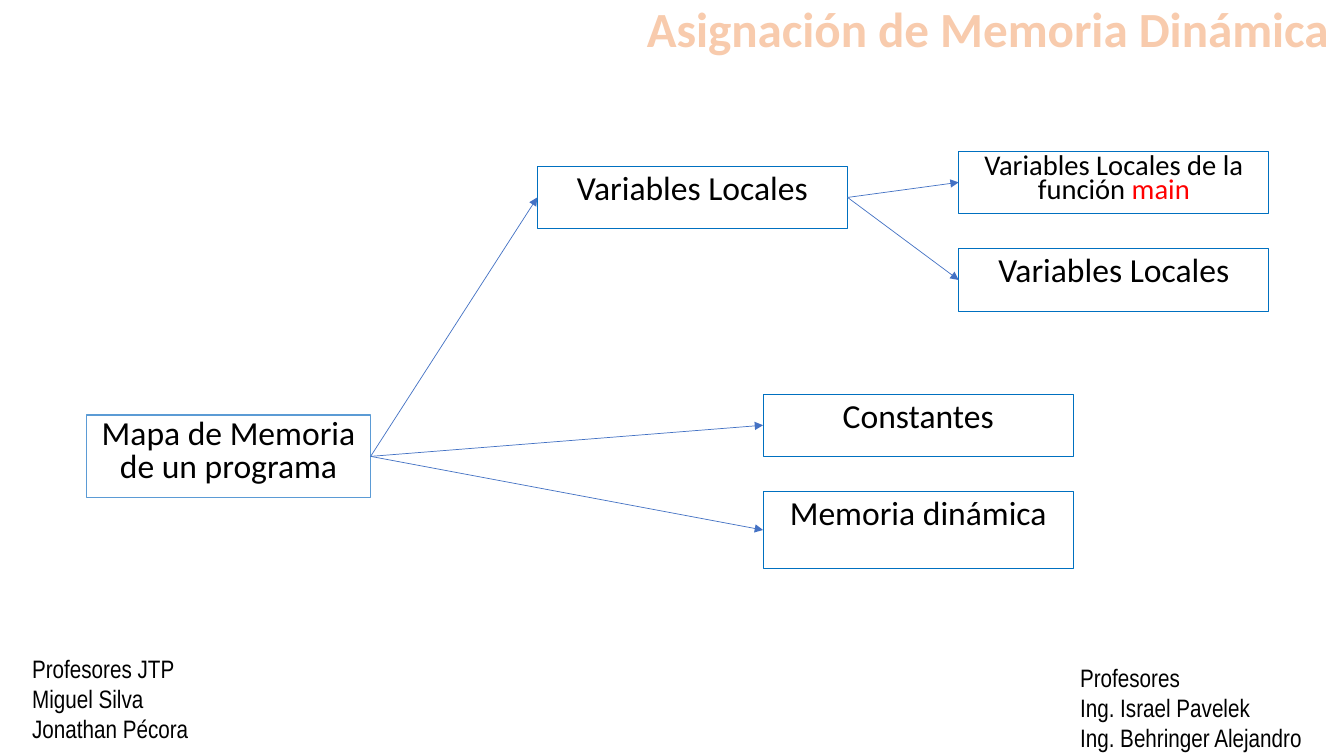
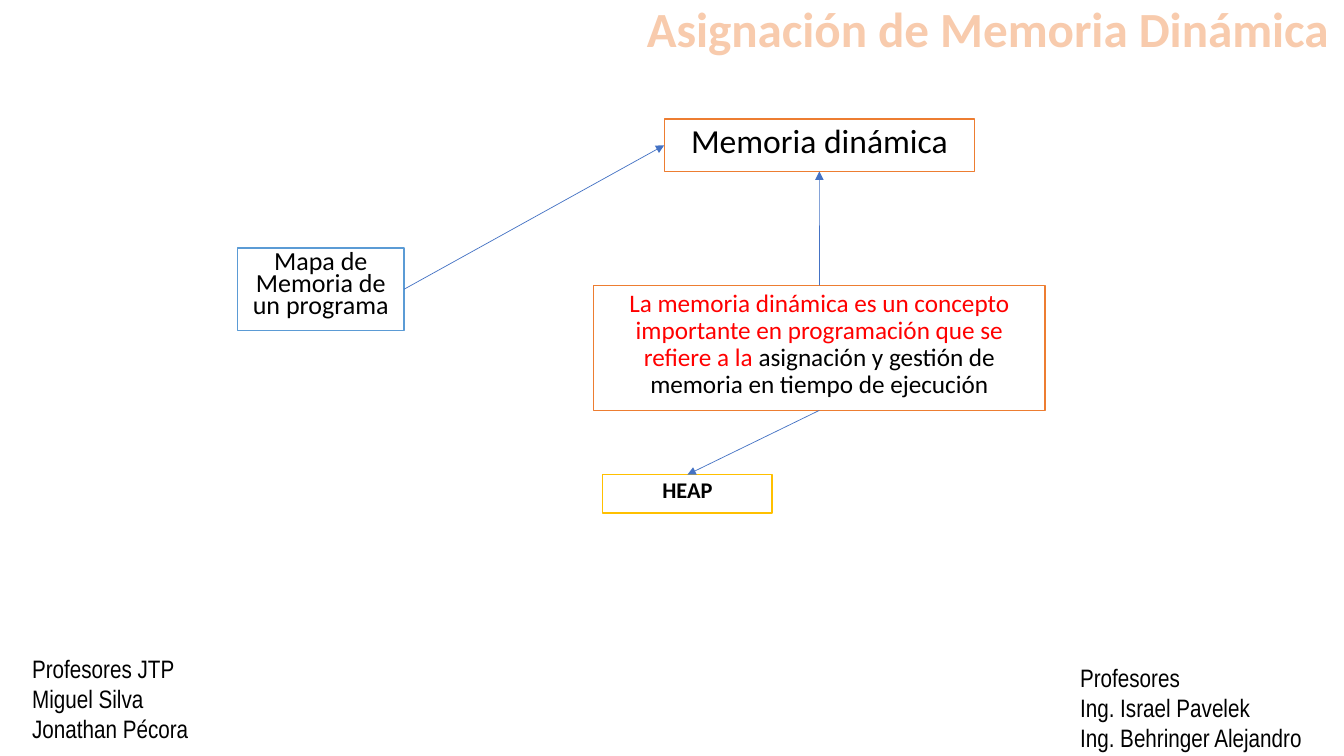
from lxml import etree
from pptx import Presentation
from pptx.dml.color import RGBColor
from pptx.enum.shapes import MSO_CONNECTOR, MSO_SHAPE
from pptx.enum.text import MSO_ANCHOR, MSO_AUTO_SIZE, PP_ALIGN
from pptx.oxml.ns import qn
from pptx.util import Cm, Pt

RECTANGLE = MSO_SHAPE.RECTANGLE
STRAIGHT = MSO_CONNECTOR.STRAIGHT
CENTER, LEFT = PP_ALIGN.CENTER, PP_ALIGN.LEFT
TOP, LEFT_SIDE, BOTTOM, RIGHT_SIDE = range(4)

COLORS = {
    "white": "FFFFFF", "black": "000000", "red": "FF0000",
    "peach": "F8CBAD", "orange": "ED7D31", "gold": "FFC000",
    "sky": "5B9BD5", "blue": "0070C0", "arrow": "4472C4",
}

TITLE = "Asignación de Memoria Dinámica"
TITLE_AREA = (15.93, 0, 17.93, 1.57)
CREDITS = [
    ((0.56, 16.33, 7.16, 2.57),
     ["Profesores JTP", "Miguel Silva", "Jonathan Pécora"]),
    ((26.97, 16.56, 6.88, 2.57),
     ["Profesores", "Ing. Israel Pavelek", "Ing. Behringer Alejandro"]),
]

BRANCH = (7.82, 1.57)
PITCH = 2.46  # between the tops of stacked branches
LOCALS_X, LOCALS_Y = 24.16, 3.81
OTHERS_X, OTHERS_Y = 19.23, 9.93
BRANCH_STYLE = {"line": "blue", "line_width": 0.75, "fill": None}

# Boxes: key -> (area in cm, text, format). Arrows: (key, side, key, side).
SLIDES = [
    {
        "boxes": {
            "map": ((2.18, 10.46, 7.16, 2.08), "Mapa de Memoria de un programa",
                    {"line": "sky", "spacing": 0.8}),
            "locals": ((13.54, 4.19, *BRANCH), "Variables Locales", BRANCH_STYLE),
            "constants": ((OTHERS_X, OTHERS_Y, *BRANCH), "Constantes", BRANCH_STYLE),
            "dynamic": ((OTHERS_X, OTHERS_Y + PITCH, BRANCH[0], 1.93),
                        "Memoria dinámica", BRANCH_STYLE),
            "main": ((LOCALS_X, LOCALS_Y, *BRANCH),
                     [("Variables Locales de la función ", "black"), ("main", "red")],
                     {**BRANCH_STYLE, "size": 20.4, "spacing": 0.7}),
            "function": ((LOCALS_X, LOCALS_Y + PITCH, *BRANCH),
                         "Variables Locales", BRANCH_STYLE),
        },
        "arrows": [
            ("map", RIGHT_SIDE, "locals", LEFT_SIDE),
            ("map", RIGHT_SIDE, "constants", LEFT_SIDE),
            ("map", RIGHT_SIDE, "dynamic", LEFT_SIDE),
            ("locals", RIGHT_SIDE, "main", LEFT_SIDE),
            ("locals", RIGHT_SIDE, "function", LEFT_SIDE),
        ],
    },
    {
        "boxes": {
            "map": ((5.99, 6.25, 4.19, 2.08), "Mapa de Memoria de un programa",
                    {"line": "sky", "size": 18.6, "spacing": 0.7}),
            "dynamic": ((16.74, 3, 7.82, 1.32), "Memoria dinámica", {"line": "orange"}),
            "concept": ((14.96, 7.19, 11.38, 3.15),
                        [("La memoria dinámica es un concepto importante en "
                          "programación que se refiere a la ", "red"),
                         ("asignación y gestión de memoria en tiempo de ejecución",
                          "black")],
                        {"line": "orange", "size": 18}),
            "heap": ((15.19, 11.96, 4.27, 0.97), "HEAP",
                     {"line": "gold", "size": 16, "bold": True}),
        },
        "arrows": [
            ("map", RIGHT_SIDE, "dynamic", LEFT_SIDE),
            ("concept", TOP, "dynamic", BOTTOM),
            ("concept", BOTTOM, "heap", TOP),
        ],
    },
]


def rgb(color):
    return RGBColor.from_string(COLORS[color])


def write(frame, paragraphs, size=24, font="Calibri", color="black", bold=False,
          align=CENTER, spacing=0.9, anchor=MSO_ANCHOR.TOP, fit=MSO_AUTO_SIZE.NONE):
    """Fill a text frame; a paragraph is a string or a list of (text, color)."""
    frame.word_wrap = True
    frame.auto_size = fit
    frame.vertical_anchor = anchor
    for index, content in enumerate(paragraphs):
        paragraph = frame.add_paragraph() if index else frame.paragraphs[0]
        paragraph.alignment = align
        paragraph.line_spacing = spacing
        paragraph.space_before = Pt(0)
        runs = [(content, color)] if isinstance(content, str) else content
        for text, run_color in runs:
            run = paragraph.add_run()
            run.text = text
            run.font.size, run.font.name, run.font.bold = Pt(size), font, bold
            run.font.color.rgb = rgb(run_color)


def add_title(slide):
    title = slide.shapes.title
    title.left, title.top, title.width, title.height = map(Cm, TITLE_AREA)
    write(title.text_frame, [TITLE], size=35.1, color="peach", bold=True,
          spacing=0.8, anchor=MSO_ANCHOR.BOTTOM)
    properties = title.text_frame.paragraphs[0].runs[0].font._element
    outline = etree.Element(qn("a:ln"), w=str(Pt(1.75)))
    fill = etree.SubElement(outline, qn("a:solidFill"))
    etree.SubElement(fill, qn("a:srgbClr"), val=COLORS["orange"])
    properties.insert(0, outline)


def add_credits(slide):
    for area, names in CREDITS:
        credit = slide.shapes.add_textbox(*map(Cm, area))
        write(credit.text_frame, names, size=18, font="Arial Narrow", align=LEFT,
              spacing=1.0, fit=MSO_AUTO_SIZE.SHAPE_TO_FIT_TEXT)


def add_box(slide, area, text, line, line_width=1, fill="white", **text_format):
    box = slide.shapes.add_shape(RECTANGLE, *map(Cm, area))
    box.shadow.inherit = False
    if fill:
        box.fill.solid()
        box.fill.fore_color.rgb = rgb(fill)
    else:
        box.fill.background()
    box.line.color.rgb = rgb(line)
    box.line.width = Pt(line_width)
    write(box.text_frame, [text], **text_format)
    return box


def add_arrow(slide, start, start_side, end, end_side):
    arrow = slide.shapes.add_connector(STRAIGHT, 0, 0, 0, 0)
    arrow.begin_connect(start, start_side)
    arrow.end_connect(end, end_side)
    arrow.line.color.rgb = rgb("arrow")
    arrow.line.width = Pt(0.5)
    etree.SubElement(arrow.line._get_or_add_ln(), qn("a:tailEnd"), type="triangle")
    etree.SubElement(arrow._element.spPr, qn("a:effectLst"))


def main():
    deck = Presentation()
    deck.slide_width, deck.slide_height = Cm(33.87), Cm(19.05)
    title_only = deck.slide_layouts[5]
    for content in SLIDES:
        slide = deck.slides.add_slide(title_only)
        add_title(slide)
        add_credits(slide)
        boxes = {key: add_box(slide, area, text, **style)
                 for key, (area, text, style) in content["boxes"].items()}
        for start, start_side, end, end_side in content["arrows"]:
            add_arrow(slide, boxes[start], start_side, boxes[end], end_side)
    deck.save("out.pptx")


if __name__ == "__main__":
    main()
